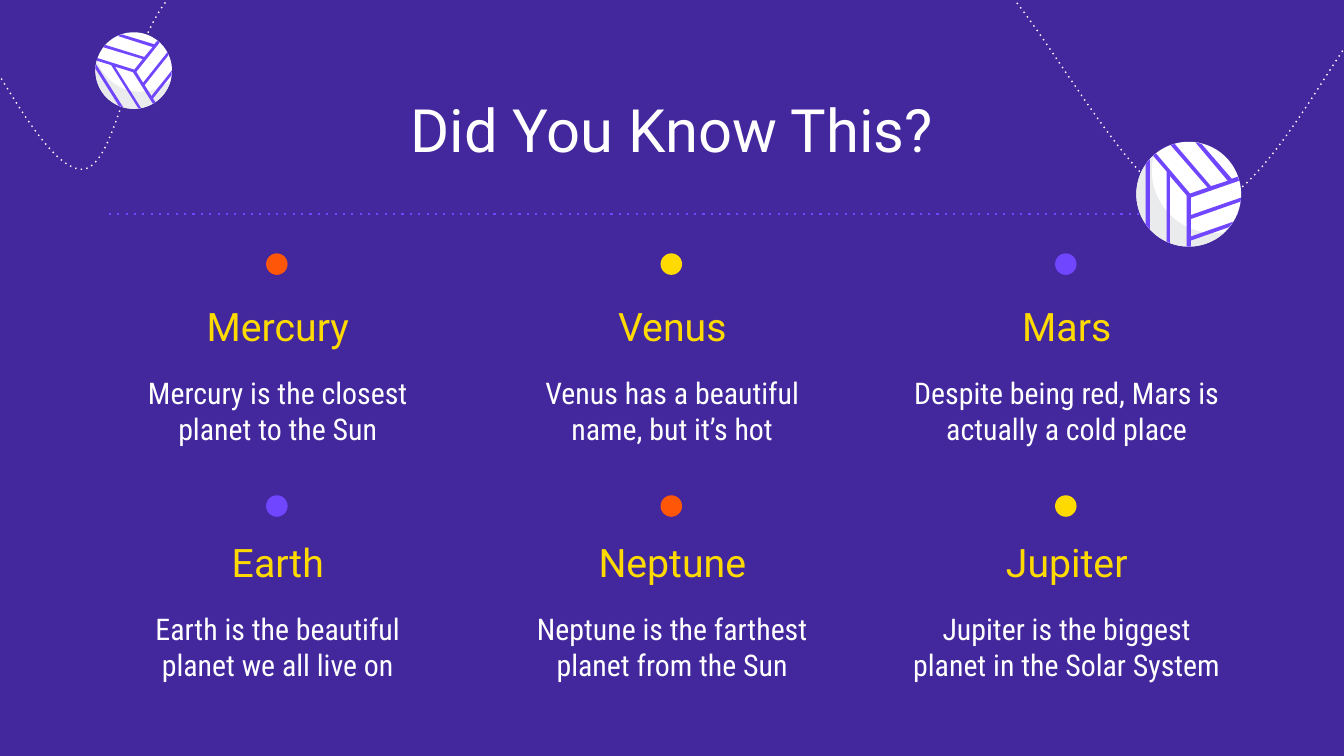
"""Build a slide of six planet facts with two balls and their dotted flights."""
from dataclasses import dataclass
from math import cos, radians, sin
from typing import NamedTuple

from lxml import etree
from pptx import Presentation
from pptx.dml.color import RGBColor
from pptx.enum.dml import MSO_LINE
from pptx.enum.shapes import MSO_CONNECTOR, MSO_SHAPE
from pptx.enum.text import MSO_ANCHOR, MSO_AUTO_SIZE, PP_ALIGN
from pptx.oxml.ns import qn
from pptx.util import Emu, Inches, Pt

OVAL = MSO_SHAPE.OVAL
STRAIGHT = MSO_CONNECTOR.STRAIGHT
DOT = MSO_LINE.ROUND_DOT
TOP, MIDDLE = MSO_ANCHOR.TOP, MSO_ANCHOR.MIDDLE
CENTER = PP_ALIGN.CENTER
NO_FIT = MSO_AUTO_SIZE.NONE

WIDTH, HEIGHT = Inches(20), Inches(11.25)
COLS = 20
CELL = WIDTH / COLS
Points = list[tuple[float, float]]


@dataclass(frozen=True)
class Theme:
    """Colours, fonts and type sizes."""
    back: str = "42279D"
    white: str = "FFFFFF"
    gold: str = "FFDA00"
    red: str = "FF5608"
    violet: str = "7146FF"
    shade: str = "EAEBEC"
    plain: str = "Roboto"
    narrow: str = "Roboto Condensed"
    title: int = 64
    name: int = 42
    fact: int = 32


class Box(NamedTuple):
    """Place and size in grid cells."""
    left: float
    top: float
    width: float
    height: float

    def emu(self) -> list[Emu]:
        """Give the four lengths in EMU."""
        return [cell(n) for n in self]


class Style(NamedTuple):
    """Look of a text."""
    font: str
    size: int
    color: str
    anchor: MSO_ANCHOR


class Planet(NamedTuple):
    """One fact with the colour of its dot."""
    name: str
    fact: str
    dot: str


class Ball(NamedTuple):
    """Centre, radius and turn of a ball."""
    x: float
    y: float
    radius: float
    turn: float


THEME = Theme()
HEAD = Style(THEME.plain, THEME.title, THEME.white, TOP)
NAME = Style(THEME.plain, THEME.name, THEME.gold, TOP)
FACT = Style(THEME.narrow, THEME.fact, THEME.white, MIDDLE)

LEFT, STEP, SPAN = 1.57, 5.87, 5.13
DROP, DOT_DROP = 3.51, 3.6
PLANETS = [
    Planet("Mercury", "Mercury is the closest planet to the Sun", THEME.red),
    Planet("Venus", "Venus has a beautiful name, but it’s hot", THEME.gold),
    Planet("Mars", "Despite being red, Mars is actually a cold place", THEME.violet),
    Planet("Earth", "Earth is the beautiful planet we all live on", THEME.violet),
    Planet("Neptune", "Neptune is the farthest planet from the Sun", THEME.red),
    Planet("Jupiter", "Jupiter is the biggest planet in the Solar System", THEME.gold),
]
FLIGHTS = [
    [(13.78, -.21), (13.95, -.22), (14.16, -.86), (14.82, -.3), (15.48, .25),
     (16.85, 2.98), (17.74, 3.11), (18.64, 3.25), (19.77, .93), (20.18, .49)],
    [(-.3, .68), (-.04, .98), (.77, 2.66), (1.28, 2.51), (1.8, 2.36),
     (1.96, .2), (2.77, -.25), (3.59, -.69), (5.59, -.17), (6.15, -.15)],
]
BALLS = [Ball(17.69, 2.89, .78, 0), Ball(1.99, 1.05, .57, 327.8)]
RIM = .78
SEAMS = [
    [(-.58, -.52), (-.64, -.45), (-.64, .45), (-.58, .52)],
    [(.1, -.77), (.58, -.2), (.33, -.12), (-.21, -.75), (-.27, -.73),
     (.28, -.1), (.02, -.01), (-.49, -.61), (-.53, -.57), (-.33, -.34),
     (-.33, .7), (-.28, .73), (-.28, -.27), (-.03, .02), (-.03, .78),
     (.03, .78), (.03, .69), (.6, .49), (.66, .41), (.03, .63), (.03, .37),
     (.77, .11), (.78, .05), (.03, .31), (.03, .05), (.75, -.2),
     (.73, -.26), (.64, -.23), (.19, -.75)],
]


def cell(count: float) -> Emu:
    """Turn grid cells into EMU."""
    return Emu(round(count * CELL))


def paint(shape, color: str) -> None:
    """Fill a shape without line or shadow."""
    shape.fill.solid()
    shape.fill.fore_color.rgb = RGBColor.from_string(color)
    shape.line.fill.background()
    shape.shadow.inherit = False


def dotted(shape, color: str, width: float) -> None:
    """Give a shape a dotted line."""
    shape.line.color.rgb = RGBColor.from_string(color)
    shape.line.width = Pt(width)
    shape.line.dash_style = DOT
    shape.line._ln.find(qn("a:prstDash")).set("val", "dot")


def write(shape, text: str, style: Style) -> None:
    """Put centred text into a shape."""
    frame = shape.text_frame
    pad = cell(.2)
    look = {"word_wrap": True, "auto_size": NO_FIT, "vertical_anchor": style.anchor,
            "margin_left": pad, "margin_right": pad, "margin_top": pad,
            "margin_bottom": pad}
    for key, value in look.items():
        setattr(frame, key, value)
    line = frame.paragraphs[0]
    line.text, line.alignment = text, CENTER
    for key, value in {"name": style.font, "size": Pt(style.size)}.items():
        setattr(line.font, key, value)
    line.font.color.rgb = RGBColor.from_string(style.color)


def outline(shapes, points: Points, close: bool = True):
    """Build a freeform through points in grid cells."""
    first, *rest = [(cell(x), cell(y)) for x, y in points]
    pen = shapes.build_freeform(*first)
    pen.add_line_segments(rest, close=close)
    return pen.convert_to_shape()


def arc(x: float, y: float, radius: float, start: int, end: int) -> Points:
    """Sample an arc between two angles."""
    turns = [radians(start + (end - start) * i / 30) for i in range(31)]
    return [(x + radius * cos(t), y + radius * sin(t)) for t in turns]


def curve(knots: Points) -> Points:
    """Sample a chain of cubic curves."""
    path = [knots[0]]
    for i in range(0, len(knots) - 1, 3):
        for t in (n / 24 for n in range(1, 25)):
            parts = ((1 - t) ** 3, 3 * t * (1 - t) ** 2, 3 * t * t * (1 - t), t ** 3)
            path.append(tuple(sum(p * k[axis] for p, k in zip(parts, knots[i:i + 4]))
                              for axis in (0, 1)))
    return path


def draw_fact(shapes, planet: Planet, row: int, col: int) -> None:
    """Draw a planet's name and fact."""
    left, top = LEFT + col * STEP, 4.3 + row * DROP
    for text, style, box in (
            (planet.name, NAME, Box(left, top, SPAN, 1.13)),
            (planet.fact, FACT, Box(left, top + 1.18, SPAN, 1.25))):
        write(shapes.add_textbox(*box.emu()), text, style)


def draw_dot(shapes, planet: Planet, row: int, col: int) -> None:
    """Draw the dot above a planet's name."""
    box = Box(LEFT + 2.39 + col * STEP, 3.77 + row * DOT_DROP, .32, .32)
    paint(shapes.add_shape(OVAL, *box.emu()), planet.dot)


def draw_flight(shapes, knots: Points) -> None:
    """Draw a ball's dotted flight."""
    shape = outline(shapes, curve(knots), close=False)
    shape.fill.background()
    shape.shadow.inherit = False
    dotted(shape, THEME.white, 1.5)


def draw_ball(shapes, ball: Ball) -> None:
    """Draw a ball with shade and seams as one group."""
    group = shapes.add_group_shape()
    side = 2 * ball.radius
    box = Box(ball.x - ball.radius, ball.y - ball.radius, side, side)
    paint(group.shapes.add_shape(OVAL, *box.emu()), THEME.white)
    moon = arc(0, 0, RIM, 227, 47) + arc(.38, -.35, .93, 81, 193)
    scale = ball.radius / RIM
    for points, color in [(moon, THEME.shade)] + [(s, THEME.violet) for s in SEAMS]:
        spots = [(ball.x + x * scale, ball.y + y * scale) for x, y in points]
        paint(outline(group.shapes, spots), color)
    group.rotation = ball.turn


def main() -> None:
    """Build and save the slide."""
    deck = Presentation()
    deck.slide_width, deck.slide_height = WIDTH, HEIGHT
    slide = deck.slides.add_slide(deck.slide_layouts[5])
    slide.background.fill.solid()
    slide.background.fill.fore_color.rgb = RGBColor.from_string(THEME.back)
    shapes = slide.shapes
    title = shapes.title
    place = Box(LEFT, 1.18, 16.85, 1.25).emu()
    for key, value in zip(("left", "top", "width", "height"), place):
        setattr(title, key, value)
    write(title, "Did You Know This?", HEAD)
    rule = shapes.add_connector(STRAIGHT, cell(1.62), cell(3.19), cell(18.43), cell(3.19))
    dotted(rule, THEME.violet, 2.25)
    etree.SubElement(rule._element.spPr, qn("a:effectLst"))
    for draw in (draw_fact, draw_dot):
        for i, planet in enumerate(PLANETS):
            draw(shapes, planet, *divmod(i, 3))
    for knots in FLIGHTS:
        draw_flight(shapes, knots)
    for ball in BALLS:
        draw_ball(shapes, ball)
    deck.save("out.pptx")


if __name__ == "__main__":
    main()
